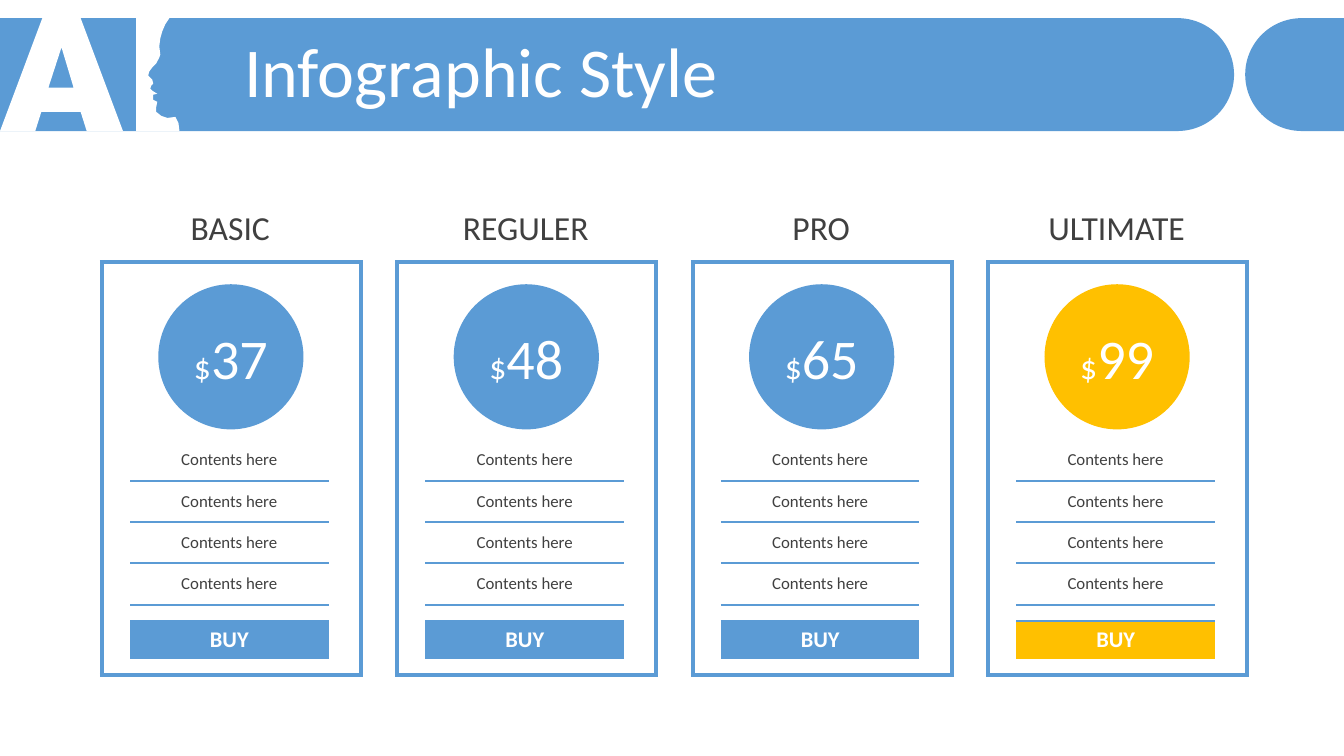
from math import cos, pi, sin

from lxml import etree
from pptx import Presentation
from pptx.dml.color import RGBColor
from pptx.enum.shapes import MSO_SHAPE
from pptx.enum.text import MSO_ANCHOR, MSO_AUTO_SIZE, PP_ALIGN
from pptx.oxml.ns import qn
from pptx.util import Inches, Pt

OVAL = MSO_SHAPE.OVAL
CENTER, LEFT = PP_ALIGN.CENTER, PP_ALIGN.LEFT
MIDDLE, TOP = MSO_ANCHOR.MIDDLE, MSO_ANCHOR.TOP
NO_FIT = MSO_AUTO_SIZE.NONE

BLUE, GOLD, WHITE, GRAY = "5B9BD5", "FFC000", "FFFFFF", "404040"
FONT = "Calibri"
NO_GRID_STYLE = "{2D5ABB26-0587-4C30-8999-92F81FD0307C}"

TITLE = "Infographic Style"
PLANS = [
    ("BASIC", "37", BLUE),
    ("REGULER", "48", BLUE),
    ("PRO", "65", BLUE),
    ("ULTIMATE", "99", GOLD),
]
FEATURES = ["Contents here"] * 4
BUTTON = "BUY"

CARD_LEFT, CARD_TOP, CARD_PITCH = 1.01, 2.6, 2.93
COLUMNS = [0.28, 1.97, 0.32]
ROWS = [1.76] + [0.41] * len(FEATURES) + [0.16, 0.38, 0.16]
BUTTON_ROW = len(ROWS) - 2

BAND_TOP, BAND_BOTTOM = 0.18, 1.3
LETTER_A = [(0.42, 0.18), (0.8, 0.18), (1.22, 1.3), (0.86, 1.3),
            (0.8, 1.11), (0.41, 1.11), (0.35, 1.3), (0, 1.3)]
LETTER_HOLE = [(0.61, 0.47), (0.48, 0.87), (0.73, 0.87)]
FACE = [(1.35, 0.18), (1.68, 0.18), (1.64, 0.24), (1.61, 0.31), (1.59, 0.38),
        (1.58, 0.46), (1.59, 0.54), (1.58, 0.57), (1.55, 0.63), (1.51, 0.67),
        (1.48, 0.71), (1.47, 0.75), (1.51, 0.79), (1.52, 0.83), (1.5, 0.85),
        (1.49, 0.88), (1.51, 0.9), (1.56, 0.93), (1.52, 0.94), (1.52, 0.99),
        (1.56, 1.01), (1.55, 1.06), (1.55, 1.11), (1.6, 1.15), (1.66, 1.17),
        (1.74, 1.16), (1.77, 1.22), (1.78, 1.3), (1.35, 1.3)]


def color(value):
    return RGBColor.from_string(value)


def paint(shape, fill):
    shape.shadow.inherit = False
    shape.fill.solid()
    shape.fill.fore_color.rgb = color(fill)
    shape.line.fill.background()


def add_span(para, text, size, fill, bold=False):
    span = para.add_run()
    span.text = text
    span.font.name = FONT
    span.font.size = Pt(size)
    span.font.bold = bold
    span.font.color.rgb = color(fill)


def add_outline(page, contours, fill):
    builder = None
    for contour in contours:
        points = [(Inches(x), Inches(y)) for x, y in contour]
        if builder is None:
            builder = page.shapes.build_freeform(*points[0])
        else:
            builder.move_to(*points[0])
        builder.add_line_segments(points[1:], close=True)
    paint(builder.convert_to_shape(), fill)


def rounded_band(flat_x, round_x, direction):
    radius = (BAND_BOTTOM - BAND_TOP) / 2
    middle = BAND_TOP + radius
    steps = 48
    angles = [pi * step / steps - pi / 2 for step in range(steps + 1)]
    arc = [(round_x + direction * radius * cos(angle), middle + radius * sin(angle))
           for angle in angles]
    return [(flat_x, BAND_TOP)] + arc + [(flat_x, BAND_BOTTOM)]


def set_borders(cell, borders):
    properties = cell._tc.get_or_add_tcPr()
    sides = [side for side in ("L", "R", "T", "B") if side in borders]
    for position, side in enumerate(sides):
        line = etree.Element(qn("a:ln" + side), w=str(Pt(borders[side])))
        solid = etree.SubElement(line, qn("a:solidFill"))
        etree.SubElement(solid, qn("a:srgbClr"), val=BLUE)
        properties.insert(position, line)


def cell_borders(row, column):
    borders = {}
    last_feature = len(FEATURES)
    if column == 1 and 1 <= row <= last_feature:
        borders["B"] = 1.5
    if column == 1 and 2 <= row <= last_feature + 1:
        borders["T"] = 1.5
    if column == 0:
        borders["L"] = 3
    if column == len(COLUMNS) - 1 or row == 0:
        borders["R"] = 3
    if row == 0:
        borders["T"] = 3
    if row == len(ROWS) - 1:
        borders["B"] = 3
    return borders


def add_card(page, left, accent):
    frame = page.shapes.add_table(
        len(ROWS), len(COLUMNS), Inches(left), Inches(CARD_TOP),
        Inches(sum(COLUMNS)), Inches(sum(ROWS)))
    table = frame.table
    table.first_row = table.horz_banding = False
    table._tbl.tblPr.find(qn("a:tableStyleId")).text = NO_GRID_STYLE
    for column, width in zip(table.columns, COLUMNS):
        column.width = Inches(width)
    texts = {row: (text, 12, GRAY, False) for row, text in enumerate(FEATURES, 1)}
    texts[BUTTON_ROW] = (BUTTON, 16, WHITE, True)
    for row, height in enumerate(ROWS):
        table.rows[row].height = Inches(height)
        for column in range(len(COLUMNS)):
            cell = table.cell(row, column)
            cell.margin_left = cell.margin_right = 0
            cell.margin_top = cell.margin_bottom = 0
            cell.vertical_anchor = MIDDLE
            para = cell.text_frame.paragraphs[0]
            if column == 1 and row in texts:
                para.alignment = CENTER
                add_span(para, *texts[row])
            else:
                para._p.get_or_add_endParaRPr().set("sz", "600")
            if column == 1 and row == BUTTON_ROW:
                cell.fill.solid()
                cell.fill.fore_color.rgb = color(accent)
            else:
                cell.fill.background()
            set_borders(cell, cell_borders(row, column))
    table.cell(0, 0).merge(table.cell(0, len(COLUMNS) - 1))
    for column in (0, len(COLUMNS) - 1):
        table.cell(2, column).merge(table.cell(len(FEATURES), column))


def add_plan(page, left, name, price, accent):
    box = page.shapes.add_textbox(Inches(left + 0.21), Inches(2), Inches(2.13), Inches(0.5))
    frame = box.text_frame
    frame.word_wrap = True
    frame.margin_left = frame.margin_right = 0
    frame.vertical_anchor = TOP
    frame.paragraphs[0].alignment = CENTER
    add_span(frame.paragraphs[0], name, 24, GRAY)

    add_card(page, left, accent)

    badge = page.shapes.add_shape(
        OVAL, Inches(left + 0.56), Inches(2.82), Inches(1.44), Inches(1.44))
    paint(badge, accent)
    badge.text_frame.vertical_anchor = MIDDLE
    para = badge.text_frame.paragraphs[0]
    para.alignment = CENTER
    add_span(para, "$", 24, WHITE)
    add_span(para, price, 40, WHITE)


def add_title(title):
    title.left, title.top = Inches(2.32), Inches(0.37)
    title.width, title.height = Inches(10.69), Inches(0.79)
    frame = title.text_frame
    frame.auto_size = NO_FIT
    frame.vertical_anchor = MIDDLE
    para = frame.paragraphs[0]
    para.alignment = LEFT
    para.line_spacing = 0.8
    para.space_before = Pt(10)
    add_span(para, TITLE, 50, WHITE)


def main():
    deck = Presentation()
    deck.slide_width, deck.slide_height = Inches(13.33), Inches(7.5)
    page = deck.slides.add_slide(deck.slide_layouts[5])
    title = page.shapes.title
    add_outline(page, [rounded_band(0, 11.68, 1)], BLUE)
    add_outline(page, [LETTER_A, LETTER_HOLE, FACE], WHITE)
    add_outline(page, [rounded_band(13.33, 12.91, -1)], BLUE)
    page.shapes._spTree.append(title._element)
    add_title(title)
    for index, plan in enumerate(PLANS):
        add_plan(page, CARD_LEFT + index * CARD_PITCH, *plan)
    deck.save("out.pptx")


if __name__ == "__main__":
    main()
